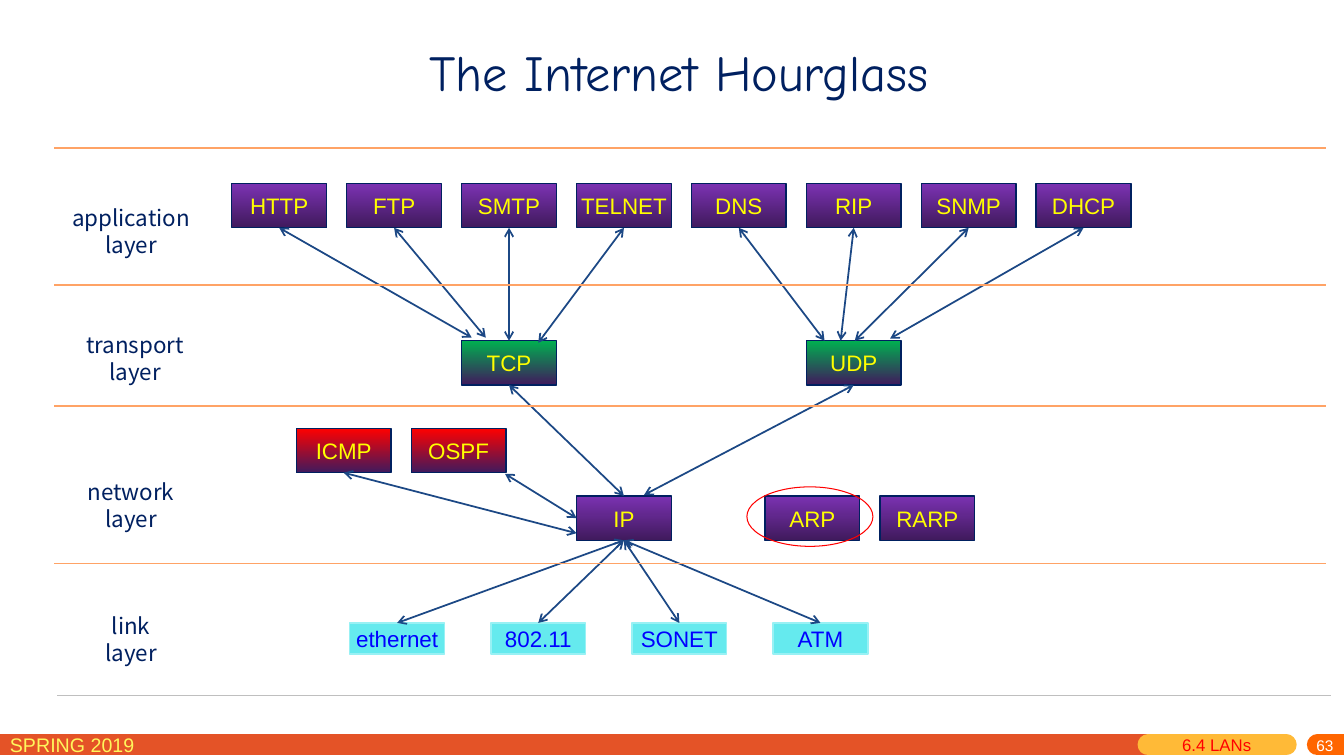
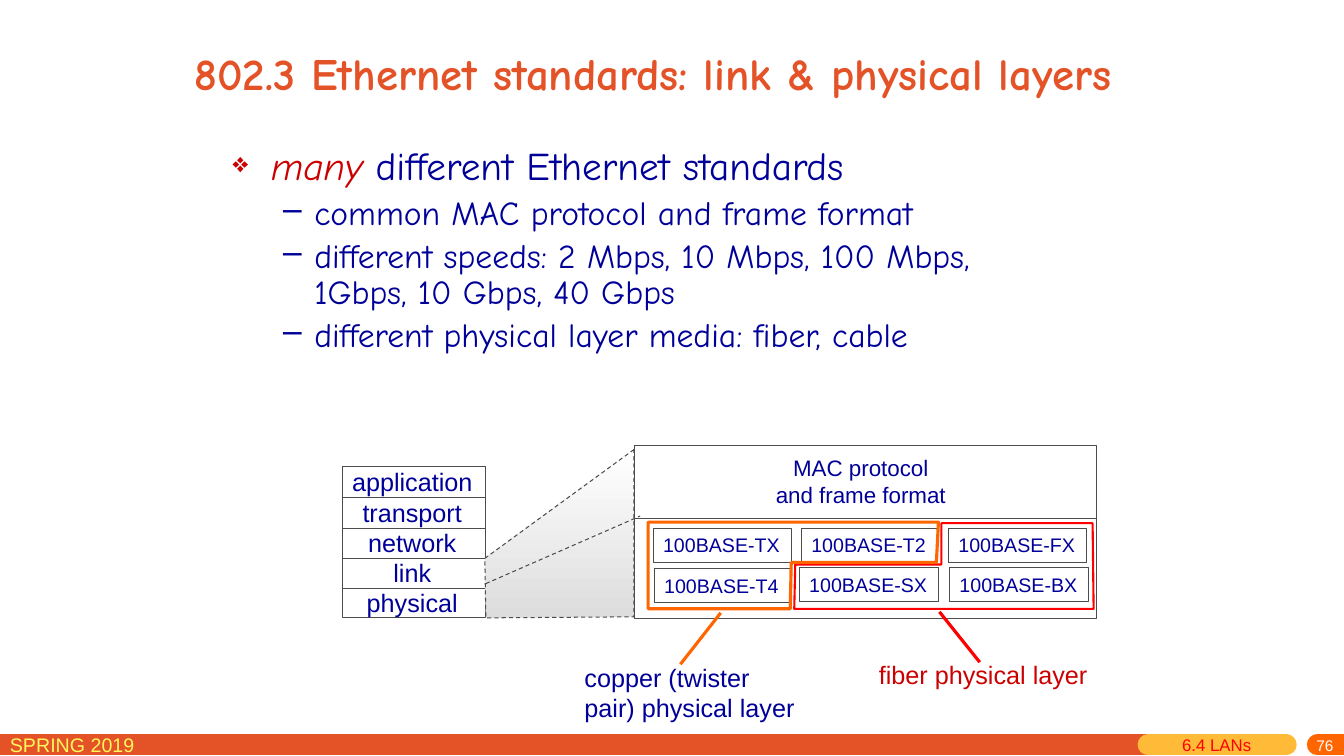
"""Build two networking slides: the Internet hourglass and the Ethernet standards."""
from lxml.etree import SubElement
from pptx import Presentation
from pptx.dml.color import RGBColor as Rgb
from pptx.enum.dml import MSO_LINE
from pptx.enum.shapes import MSO_CONNECTOR, MSO_SHAPE
from pptx.enum.text import MSO_ANCHOR as Anchor, PP_ALIGN as Align
from pptx.oxml.ns import qn
from pptx.util import Emu, Pt

PX = 9144
COLORS = {key: Rgb.from_string(value) for key, value in {
    "band": "E45327", "pill": "FFBA37", "orange": "FF6600", "season": "FFF65C",
    "white": "FFFFFF", "red": "FF0000", "crimson": "CC0000", "navy": "002060",
    "blue": "000099", "bright": "0000FF", "yellow": "FFFF00", "purple": "7B32B2",
    "plum": "401A5D", "green": "00B050", "arrow": "1C4885", "divider": "FFA366",
    "grey": "BFBFBF", "cyan": "65EAEE", "aqua": "98F1F4", "ink": "4C4C4C",
    "shade": "DDDDDD"}.items()}
HAND, SANS, CJK = "Comic Neue", "Arial", "Noto Sans CJK SC"


def label(slide, place, text, size, color, font=SANS, align=Align.LEFT, anchor=Anchor.TOP,
          margins=(10, 5), wrap=True, fill=None, edge=None, weight=0.75):
    """Add a text box, or a rectangle when an edge colour is given."""
    spot = [Emu(v * PX) for v in place]
    if edge:
        shape = slide.shapes.add_shape(MSO_SHAPE.RECTANGLE, *spot)
        shape.shadow.inherit = False
        shape.line.color.rgb = COLORS[edge]
        shape.line.width = Pt(weight)
        if not fill:
            shape.fill.background()
        elif isinstance(fill, tuple):
            shape.fill.gradient()
            shape.fill.gradient_angle = 270
            for stop, name in zip(shape.fill.gradient_stops, fill):
                stop.color.rgb = COLORS[name]
        else:
            shape.fill.solid()
            shape.fill.fore_color.rgb = COLORS[fill]
    else:
        shape = slide.shapes.add_textbox(*spot)
    frame = shape.text_frame
    frame.word_wrap = wrap
    frame.vertical_anchor = anchor
    frame.margin_left = frame.margin_right = Emu(margins[0] * PX)
    frame.margin_top = frame.margin_bottom = Emu(margins[1] * PX)
    frame.text = text
    for paragraph in frame.paragraphs:
        paragraph.alignment = align
        paragraph.font.size = Pt(size)
        paragraph.font.name = font
        paragraph.font.color.rgb = COLORS[color]
    return shape


def rule(slide, start, end, color, width, arrows=False):
    """Add a straight line, with an open arrowhead at both ends if asked."""
    line = slide.shapes.add_connector(
        MSO_CONNECTOR.STRAIGHT, *[Emu(v * PX) for v in (*start, *end)])
    line.line.color.rgb = COLORS[color]
    line.line.width = Pt(width)
    if arrows:
        for tip in ("a:headEnd", "a:tailEnd"):
            SubElement(line.line._get_or_add_ln(), qn(tip), type="arrow")
    SubElement(line._element.spPr, qn("a:effectLst"))
    return line


deck = Presentation()
deck.slide_width, deck.slide_height = Emu(12192000), Emu(6858000)
hourglass, ethernet = [deck.slides.add_slide(deck.slide_layouts[6]) for _ in range(2)]

for slide, number in ((hourglass, "63"), (ethernet, "76")):
    for left, right, color in ((0, 1139, "band"), (1139, 1276, "pill"), (1307, 1333, "orange")):
        band = rule(slide, (left, 739), (right, 739), color, 15)
        band.line._get_or_add_ln().set("cap", "rnd")
    label(slide, (0, 722, 229, 31), "SPRING 2019", 14, "season")
    label(slide, (1223, 730, 100, 18), number, 11, "white", align=Align.RIGHT,
          anchor=Anchor.MIDDLE, margins=(0, 0))
    label(slide, (1163, 724, 110, 31), "6.4 LANs", 12, "red")

label(hourglass, (364, 36, 619, 71), "The Internet Hourglass", 36, "navy", HAND, Align.CENTER)

STEP = 114
protocol_rows = (
    (230, 182, "purple", ("HTTP", "FTP", "SMTP", "TELNET", "DNS", "RIP", "SNMP", "DHCP")),
    (230 + 2 * STEP, 338, "green", ("TCP",)),
    (230 + 5 * STEP, 338, "green", ("UDP",)),
    (230 + 3 * STEP, 492, "purple", ("IP",)),
    (294, 425, "red", ("ICMP", "OSPF")),
    (759, 492, "purple", ("ARP", "RARP")))
nodes = {}
for left, top, color, names in protocol_rows:
    for i, name in enumerate(names):
        nodes[name] = label(
            hourglass, (left + i * STEP, top, 94, 44), name, 16, "yellow", align=Align.CENTER,
            anchor=Anchor.MIDDLE, margins=(0, 0), fill=(color, "plum"), edge="navy", weight=1)
for i, name in enumerate(("ethernet", "802.11", "SONET", "ATM")):
    nodes[name] = label(
        hourglass, (347 + i * 140, 618, 94, 31), name, 16, "bright", align=Align.CENTER,
        anchor=Anchor.MIDDLE, margins=(0, 0), fill="cyan", edge="aqua", weight=1)

links = (
    (("HTTP", 2), (468, 335)), (("FTP", 2), (482, 335)), (("SMTP", 2), ("TCP", 0)),
    (("TELNET", 2), (534, 340)), (("DNS", 2), (818, 338)), (("RIP", 2), (834, 338)),
    (("SNMP", 2), (848, 338)), (("DHCP", 2), (883, 336)), (("TCP", 2), ("IP", 0)),
    (("UDP", 2), (639, 491)), ((501, 470), ("IP", 1)), (("ICMP", 2), (572, 529)),
    (("ethernet", 0), ("IP", 2)), (("802.11", 0), ("IP", 2)),
    (("SONET", 0), ("IP", 2)), (("ATM", 0), ("IP", 2)))
for ends in links:
    joined = [isinstance(end[0], str) for end in ends]
    points = [(0, 0) if join else end for join, end in zip(joined, ends)]
    arrow = rule(hourglass, *points, "arrow", 1.25, arrows=True)
    for join, connect, end in zip(joined, (arrow.begin_connect, arrow.end_connect), ends):
        if join:
            connect(nodes[end[0]], end[1])

for y in (147, 283, 403, 559):
    rule(hourglass, (54, y), (1316, y), "divider", 1.25)
rule(hourglass, (57, 690), (1320, 690), "grey", 0.75)

for left, top, width, text in ((52, 197, 156, "application layer"), (45, 323, 178, "transport\nlayer"),
                               (52, 469, 156, "network\nlayer"), (52, 602, 156, "link\nlayer")):
    layer = label(hourglass, (left, top, width, 64), text, 16, "navy", CJK, Align.CENTER)
    for paragraph in layer.text_frame.paragraphs:
        paragraph.line_spacing = Pt(19.3)

arp_ring = hourglass.shapes.add_shape(
    MSO_SHAPE.OVAL, *[Emu(v * PX) for v in (741, 483, 125, 59)])
arp_ring.shadow.inherit = False
arp_ring.fill.background()
arp_ring.line.color.rgb = COLORS["red"]
arp_ring.line.width = Pt(0.75)

heading = label(ethernet, (183, 10, 1090, 125), "802.3 Ethernet standards: link & physical layers",
                32, "band", HAND, anchor=Anchor.MIDDLE)
heading.text_frame.paragraphs[0].font.bold = True

points = label(ethernet, (221, 141, 830, 230), "\n".join((
    "many different Ethernet standards",
    "common MAC protocol and frame format",
    "different speeds: 2 Mbps, 10 Mbps, 100 Mbps, 1Gbps, 10 Gbps, 40 Gbps",
    "different physical layer media: fiber, cable")), 24, "blue", HAND).text_frame.paragraphs
for i, paragraph in enumerate(points):
    margin, indent, size, mark, tint, scale = (
        (81, -31, 24, "–", "blue", 100) if i else (38, -38, 28, "❖", "crimson", 70))
    paragraph.level = 1 if i else 0
    paragraph.font.size = Pt(size)
    paragraph.line_spacing = 0.9
    paragraph.space_before = Pt(size * 0.2)
    props = paragraph._p.get_or_add_pPr()
    props.set("marL", str(margin * PX))
    props.set("indent", str(indent * PX))
    bullet_color = SubElement(props, qn("a:buClr"))
    SubElement(bullet_color, qn("a:srgbClr"), val=str(COLORS[tint]))
    SubElement(props, qn("a:buSzPct"), val=str(scale * 1000))
    SubElement(props, qn("a:buChar"), char=mark)
    props.append(props.find(qn("a:defRPr")))
lead = points[0]
lead.runs[0].text = "many "
lead.runs[0].font.italic = True
lead.runs[0].font.color.rgb = COLORS["crimson"]
lead.add_run().text = "different Ethernet standards"

label(ethernet, (340, 463, 142, 150), "", 18, "blue", fill="white", edge="ink")
label(ethernet, (339, 458, 140, 160), "application\ntransport\nnetwork\nlink\nphysical",
      18, "blue", align=Align.CENTER, wrap=False)
for i in range(4):
    rule(ethernet, (340, 494 + 30 * i), (481, 494 + 30 * i), "ink", 0.75)

label(ethernet, (629, 442, 459, 172), "", 16, "blue", fill="white", edge="ink")
rule(ethernet, (629, 514), (1088, 514), "ink", 0.75)
label(ethernet, (759, 446, 190, 64), "MAC protocol\nand frame format", 16, "blue",
      align=Align.CENTER, wrap=False)
for left, top, width, name in (
        (648, 524, 137, "TX"), (795, 524, 135, "T2"), (941, 524, 137, "FX"),
        (649, 564, 135, "T4"), (793, 563, 138, "SX"), (942, 563, 138, "BX")):
    label(ethernet, (left, top, width, 34), "100BASE-" + name, 14, "blue", wrap=False, edge="ink")

outlines = (
    ("ink", 0.75, ((629, 446), (481, 554), (482, 613), (629, 612))),
    ("red", 1.5, ((934, 519), (934, 560), (789, 560), (788, 604), (1085, 604), (1084, 519))),
    ("orange", 2.25, ((931, 518), (929, 558), (785, 558), (784, 604), (643, 604), (643, 518))))
for color, width, corners in outlines:
    builder = ethernet.shapes.build_freeform(*corners[0], scale=PX)
    builder.add_line_segments(corners[1:], close=True)
    outline = builder.convert_to_shape()
    outline.shadow.inherit = False
    outline.line.color.rgb = COLORS[color]
    outline.line.width = Pt(width)
    if color == "ink":
        outline.line.dash_style = MSO_LINE.DASH
        outline.fill.gradient()
        for stop, name in zip(outline.fill.gradient_stops, ("shade", "white")):
            stop.color.rgb = COLORS[name]
    else:
        outline.fill.background()

rule(ethernet, (482, 579), (635, 512), "ink", 0.75).line.dash_style = MSO_LINE.DASH
rule(ethernet, (932, 607), (972, 657), "red", 2.25)
rule(ethernet, (715, 608), (675, 659), "orange", 2.25)
label(ethernet, (862, 649, 229, 40), "fiber physical layer", 18, "crimson", wrap=False)
label(ethernet, (570, 652, 231, 71), "copper (twister\npair) physical layer", 18, "blue", wrap=False)

deck.save("out.pptx")
